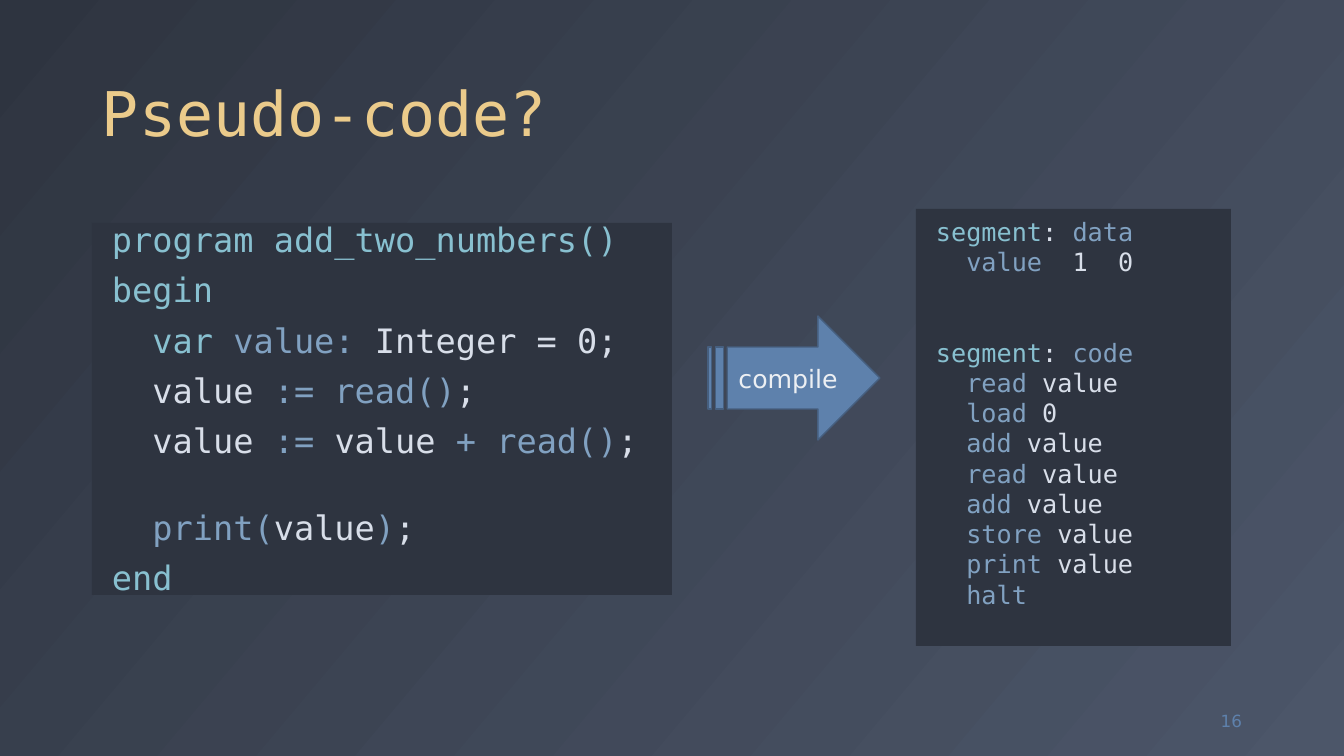
from lxml.etree import SubElement
from pptx import Presentation
from pptx.dml.color import RGBColor
from pptx.enum.shapes import MSO_SHAPE
from pptx.enum.text import MSO_ANCHOR, MSO_AUTO_SIZE, PP_ALIGN
from pptx.oxml.ns import qn
from pptx.util import Emu, Pt

SCALE = 12192000 / 1344
SANS = "DejaVu Sans"
MONO = "DejaVu Sans Mono"
PANEL = "2E3440"
BLUE = "5E81AC"
KEYWORD, NAME, PLAIN = "88C0D0", "81A1C1", "D8DEE9"

PROGRAM = [
    [("program add_two_numbers()", KEYWORD)],
    [("begin", KEYWORD)],
    [("  var ", KEYWORD), ("value: ", NAME), ("Integer = 0;", PLAIN)],
    [("  value", PLAIN), (" := read()", NAME), (";", PLAIN)],
    [("  value", PLAIN), (" := ", NAME), ("value", PLAIN),
     (" + read()", NAME), (";", PLAIN)],
    [("  print(", NAME), ("value", PLAIN), (")", NAME), (";", PLAIN)],
    [("end", KEYWORD)],
]
INSTRUCTIONS = [
    ("read", "value"), ("load", "0"), ("add", "value"), ("read", "value"),
    ("add", "value"), ("store", "value"), ("print", "value"),
]


def segment(label):
    return [("segment", KEYWORD), (": ", PLAIN), (label, NAME)]


ASSEMBLY = [
    segment("data"),
    [("  value  ", NAME), ("1  0", PLAIN)],
    segment("code"),
    *[[(f"  {verb} ", NAME), (operand, PLAIN)] for verb, operand in INSTRUCTIONS],
    [("  halt", NAME)],
]


def px(length):
    return Emu(round(length * SCALE))


def colour(value):
    return RGBColor.from_string(value)


def place(part, box):
    part.left, part.top, part.width, part.height = map(px, box)


def paint(part, fill, line=None):
    part.fill.solid()
    part.fill.fore_color.rgb = colour(fill)
    if line:
        part.line.color.rgb = colour(line)
        part.line.width = Pt(1)
    else:
        part.line.fill.background()


def prepare(part, anchor, wrap=True, insets=(10, 5, 10, 5)):
    frame = part.text_frame
    frame.auto_size = MSO_AUTO_SIZE.NONE
    frame.word_wrap = wrap
    frame.vertical_anchor = anchor
    (frame.margin_left, frame.margin_top,
     frame.margin_right, frame.margin_bottom) = map(px, insets)
    return frame


def write(paragraph, text, size, tint, font=SANS, align=PP_ALIGN.LEFT):
    run = paragraph.add_run()
    run.text = text
    run.font.name = font
    run.font.size = Pt(size)
    run.font.color.rgb = colour(tint)
    paragraph.alignment = align


def draw_background(slide):
    fill = slide.background.fill
    fill.gradient()
    fill.gradient_angle = 320
    for stop, tint, position in zip(fill.gradient_stops, (PANEL, "4C5669"), (0, 1)):
        stop.color.rgb = colour(tint)
        stop.position = position


def draw_title(slide, box, text):
    title = slide.shapes.title
    place(title, box)
    heading = prepare(title, MSO_ANCHOR.BOTTOM).paragraphs[0]
    heading.line_spacing = 0.9
    write(heading, text, 44, "EBCB8B", MONO)


def draw_code(panel, box, lines, size, pitch, gap, top, breaks):
    place(panel, box)
    paint(panel, PANEL)
    frame = prepare(panel, MSO_ANCHOR.TOP, False, (20, top, 20, 0))
    for index, line in enumerate(lines):
        row = frame.add_paragraph() if index else frame.paragraphs[0]
        properties = row._p.get_or_add_pPr()
        properties.set("marL", "0")
        properties.set("indent", "0")
        SubElement(properties, qn("a:buNone"))
        row.line_spacing = Pt(pitch)
        row.space_before = Pt((gap if index else 0) + breaks.get(index, 0) * pitch)
        row.space_after = Pt(0)
        for text, tint in line:
            write(row, text, size, tint, MONO)


def draw_arrow(slide, box, label):
    arrow = slide.shapes.add_shape(MSO_SHAPE.STRIPED_RIGHT_ARROW, *map(px, box))
    arrow.shadow.inherit = False
    paint(arrow, BLUE, "465F7F")
    caption = prepare(arrow, MSO_ANCHOR.MIDDLE, False).paragraphs[0]
    write(caption, label, 18, "ECEFF3", align=PP_ALIGN.CENTER)


def draw_page_number(slide, box, number):
    footer = slide.shapes.add_textbox(*map(px, box))
    page = prepare(footer, MSO_ANCHOR.MIDDLE).paragraphs[0]
    write(page, number, 12, BLUE, align=PP_ALIGN.RIGHT)


def main():
    deck = Presentation()
    deck.slide_width, deck.slide_height = px(1344), px(756)
    slide = deck.slides.add_slide(deck.slide_layouts[1])
    draw_background(slide)
    draw_title(slide, (92, 18, 1160, 137), "Pseudo-code?")
    draw_page_number(slide, (1168, 701, 84, 40), "16")
    draw_code(slide.placeholders[1], (92, 223, 580, 372), PROGRAM,
              size=24, pitch=25.9, gap=10, top=0, breaks={5: 1})
    assembly = slide.shapes.add_shape(MSO_SHAPE.RECTANGLE, 0, 0, 0, 0)
    assembly.shadow.inherit = False
    draw_code(assembly, (916, 209, 315, 437), ASSEMBLY,
              size=18, pitch=21.6, gap=0, top=7, breaks={2: 2})
    draw_arrow(slide, (708, 316, 172, 124), "compile")
    deck.save("out.pptx")


if __name__ == "__main__":
    main()
